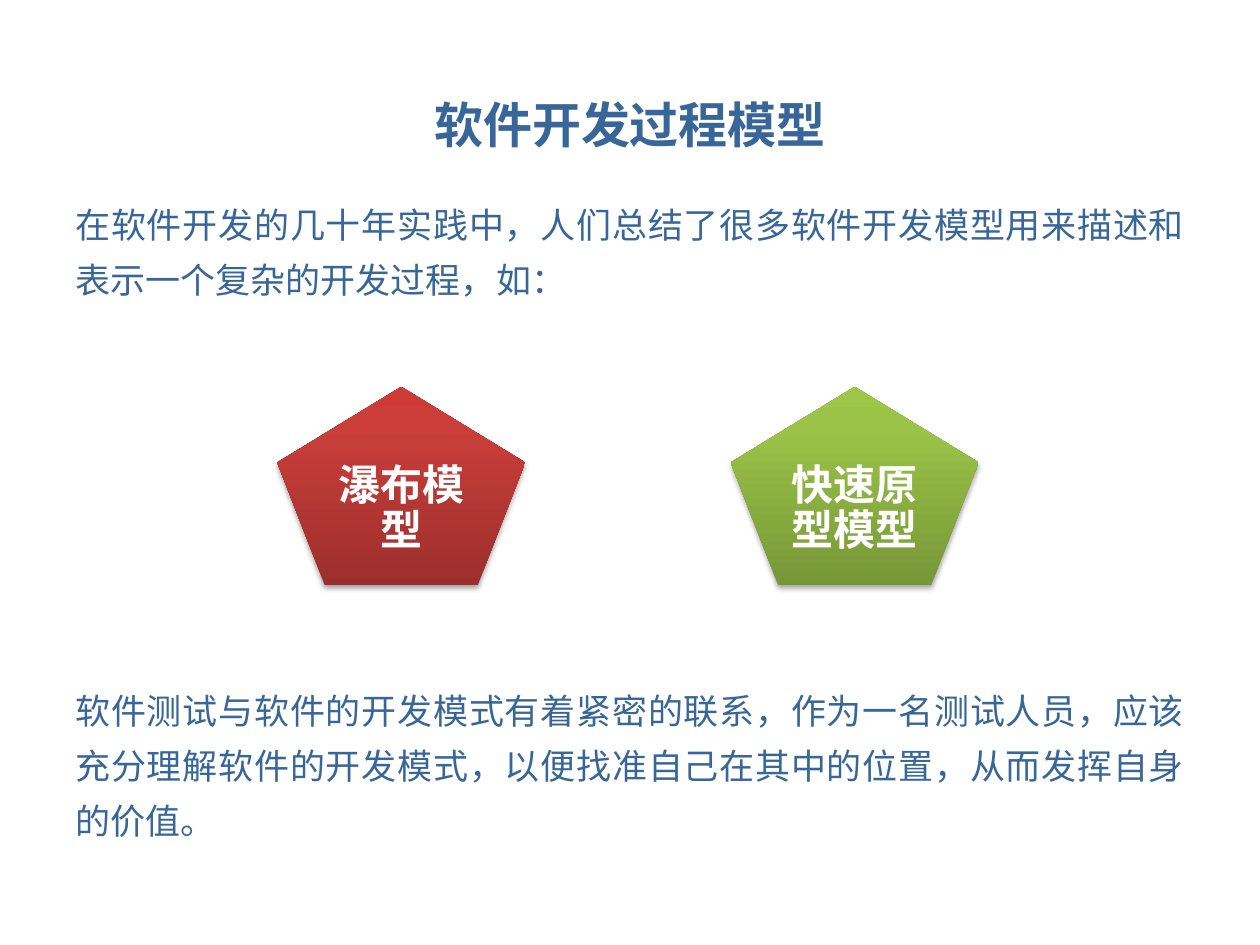
from lxml.etree import SubElement
from pptx import Presentation
from pptx.dml.color import RGBColor
from pptx.enum.shapes import MSO_SHAPE as Shape
from pptx.enum.text import MSO_ANCHOR as Anchor, PP_ALIGN as Align
from pptx.oxml.ns import qn
from pptx.util import Cm, Pt

BLUE = RGBColor(0x38, 0x66, 0x98)
WHITE = RGBColor(0xFF, 0xFF, 0xFF)
BLACK = RGBColor(0, 0, 0)
REDS = [RGBColor(0x9C, 0x2F, 0x2D), RGBColor(0xCB, 0x3E, 0x3A), RGBColor(0xCE, 0x3B, 0x37)]
GREENS = [RGBColor(0x77, 0x97, 0x37), RGBColor(0x9B, 0xC3, 0x48), RGBColor(0x9D, 0xC7, 0x46)]
STOPS = [0, 80, 100]


class SlideBuilder:
    title_font = "Noto Sans CJK SC"
    body_font = "Karla"
    label_font = "Calibri"

    def __init__(self, slide):
        self.slide = slide

    def add_text(self, tf, text, font, size, color, align, bold=False):
        tf.word_wrap = True
        p = tf.paragraphs[0]
        p.alignment = align
        r = p.add_run()
        r.text = text
        r.font.name = font
        r.font.size = Pt(size)
        r.font.bold = bold
        r.font.color.rgb = color
        SubElement(r.font._element, qn("a:ea"), typeface=font)
        return p

    def title(self, text, left, top, width, height):
        tf = self.slide.shapes.add_textbox(left, top, width, height).text_frame
        tf.vertical_anchor = Anchor.MIDDLE
        self.add_text(tf, text, self.title_font, 28, BLUE, Align.CENTER, True)

    def body(self, text, left, top, width, height):
        tf = self.slide.shapes.add_textbox(left, top, width, height).text_frame
        p = self.add_text(tf, text, self.body_font, 20, BLUE, Align.JUSTIFY)
        p.line_spacing = 1.3
        p.space_before = Pt(4)

    def pentagon(self, text, colors, left, top, width, height):
        sp = self.slide.shapes.add_shape(Shape.REGULAR_PENTAGON, left, top, width, height)
        self.gradient(sp, colors)
        sp.line.fill.background()
        self.shadow(sp)
        tf = sp.text_frame
        tf.margin_left = tf.margin_right = 0
        tf.margin_top = tf.margin_bottom = Cm(0.1)
        tf.vertical_anchor = Anchor.MIDDLE
        p = self.add_text(tf, text, self.label_font, 24, WHITE, Align.CENTER, True)
        p.line_spacing = 0.9
        p.space_after = Pt(8.4)

    def gradient(self, sp, colors):
        sp.fill.gradient()
        sp.fill.gradient_angle = 90
        stops = sp._element.spPr.find(qn("a:gradFill")).find(qn("a:gsLst"))
        for stop in list(stops):
            stops.remove(stop)
        for pos, color in zip(STOPS, colors):
            gs = SubElement(stops, qn("a:gs"), pos=str(pos * 1000))
            SubElement(gs, qn("a:srgbClr"), val=str(color))

    def shadow(self, sp):
        sp.shadow.inherit = False
        effects = sp._element.spPr.find(qn("a:effectLst"))
        outer = SubElement(effects, qn("a:outerShdw"), blurRad=str(Pt(3.1)),
                           dist=str(Pt(1.8)), dir="5400000", rotWithShape="0")
        color = SubElement(outer, qn("a:srgbClr"), val=str(BLACK))
        SubElement(color, qn("a:alpha"), val="35000")


def main():
    prs = Presentation()
    prs.slide_width, prs.slide_height = Cm(25.4), Cm(19.05)
    s = SlideBuilder(prs.slides.add_slide(prs.slide_layouts[6]))

    s.title("软件开发过程模型", Cm(4.8), Cm(1.4), Cm(15.8), Cm(2.2))
    s.body("在软件开发的几十年实践中，人们总结了很多软件开发模型用来描述和表示一个复杂的开发过程，如：",
           Cm(1.27), Cm(3.73), Cm(22.86), Cm(2.6))
    models = [("瀑布模型", REDS), ("快速原型模型", GREENS)]
    for i, (name, colors) in enumerate(models):
        s.pentagon(name, colors, Cm(5.59 + 9.14 * i), Cm(7.8), Cm(5), Cm(3.99))
    s.body("软件测试与软件的开发模式有着紧密的联系，作为一名测试人员，应该充分理解软件的开发模式，"
           "以便找准自己在其中的位置，从而发挥自身的价值。",
           Cm(1.27), Cm(13.53), Cm(22.86), Cm(3.7))

    prs.save("out.pptx")


if __name__ == "__main__":
    main()
